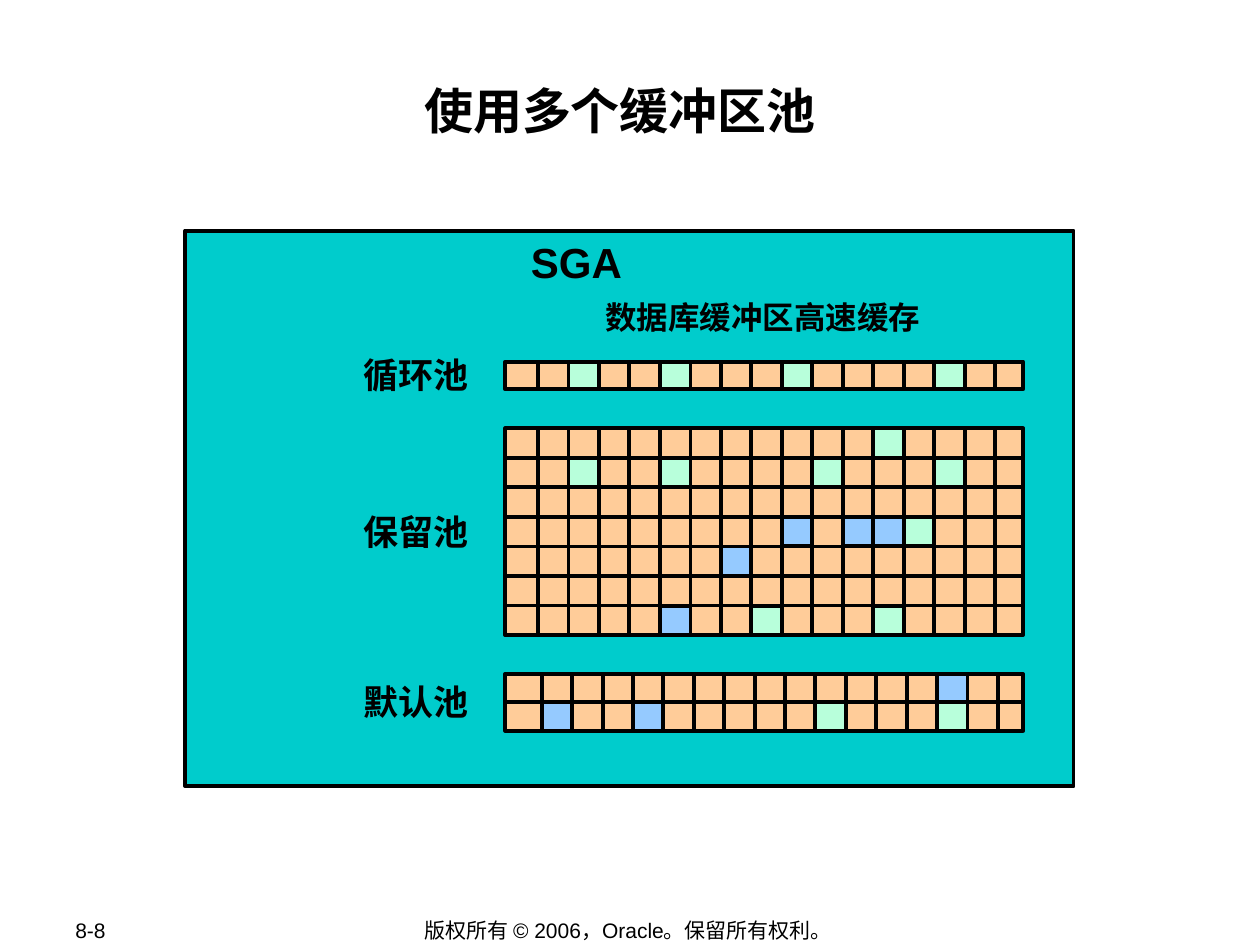
from lxml import etree
from pptx import Presentation
from pptx.dml.color import RGBColor
from pptx.enum.shapes import MSO_CONNECTOR, MSO_SHAPE
from pptx.enum.text import MSO_ANCHOR, PP_ALIGN
from pptx.oxml.ns import qn
from pptx.util import Inches, Pt

RECT, STRAIGHT = MSO_SHAPE.RECTANGLE, MSO_CONNECTOR.STRAIGHT
LEFT, CENTER = PP_ALIGN.LEFT, PP_ALIGN.CENTER
TOP, MIDDLE = MSO_ANCHOR.TOP, MSO_ANCHOR.MIDDLE
LATIN, CJK = "Arial", "Noto Sans CJK SC"
BLACK, TEAL = "000000", "00CCCC"
PEACH, MINT, SKY = "FFCC99", "B8FFDB", "95CAFF"
BLOCKS = {"g": MINT, "b": SKY}

TITLE = "使用多个缓冲区池"
SGA_BOX = (1.47, 1.83, 7.05, 4.41)
# text, box, size, font, bold, anchor
CAPTIONS = [
    ("SGA", (3.72, 1.83, 1.71, 0.5), 24, LATIN, True, TOP),
    ("数据库缓冲区高速缓存", (4.04, 2.32, 4.03, 0.4), 18, CJK, True, TOP),
    ("版权所有 © 2006，Oracle。保留所有权利。", (2.74, 7.28, 4.49, 0.21), 12, LATIN, False, MIDDLE),
]
PAGE = ("8-8", (0.5, 7.28, 1.06, 0.2), 12, LATIN, False, MIDDLE)

# Each row string holds one letter per block: g = mint, b = sky, . = plain.
# The omitted divider is drawn by the coloured blocks beside it.
POOLS = [
    dict(name="循环池", label_top=2.76, top=2.87, height=0.22, first=4.27, last=7.9, omit=(),
         rows=["..g..g...g....g.."]),
    dict(name="保留池", label_top=4.0, top=3.4, height=1.64, first=4.27, last=7.9, omit=(),
         rows=["............g....",
               "..g..g....g...g..",
               ".................",
               ".........b.bbg...",
               ".......b.........",
               ".................",
               ".....b..g...g...."]),
    dict(name="默认池", label_top=5.35, top=5.35, height=0.45, first=4.3, last=7.92, omit=(15,),
         rows=["..............b..",
               ".b..b.....g...g.."]),
]
POOL_LEFT, POOL_WIDTH = 4.01, 4.11
LABEL_LEFT, LABEL_SIZE = 2.79, (1.04, 0.43)


def rgb(color):
    return RGBColor.from_string(color)


def add_rect(box, fill):
    s = shapes.add_shape(RECT, *map(Inches, box))
    s.shadow.inherit = False
    s.fill.solid()
    s.fill.fore_color.rgb = rgb(fill)
    s.line.color.rgb = rgb(BLACK)
    s.line.width = Pt(2.25)
    return s


def add_line(x1, y1, x2, y2):
    c = shapes.add_connector(STRAIGHT, *map(Inches, (x1, y1, x2, y2)))
    c.line.color.rgb = rgb(BLACK)
    c.line.width = Pt(2.25)
    etree.SubElement(c._element.spPr, qn("a:effectLst"))
    return c


def write(tf, text, size, font, bold, align):
    p = tf.paragraphs[0]
    p.alignment = align
    r = p.add_run()
    r.text = text
    r.font.size, r.font.name, r.font.bold = Pt(size), font, bold
    r.font.color.rgb = rgb(BLACK)
    etree.SubElement(r._r.get_or_add_rPr(), qn("a:ea"), typeface=CJK)
    return p


def add_text(text, box, size, font, bold, anchor, align=CENTER, wrap=True):
    tf = shapes.add_textbox(*map(Inches, box)).text_frame
    tf.word_wrap = wrap
    tf.vertical_anchor = anchor
    write(tf, text, size, font, bold, align)


def add_pool(name, label_top, top, height, first, last, omit, rows):
    """Draw a labelled block grid whose first column is slightly wider."""
    n_rows, n_cols = len(rows), len(rows[0])
    right, bottom = POOL_LEFT + POOL_WIDTH, top + height
    step, row_h = (last - first) / (n_cols - 2), height / n_rows
    edges = [POOL_LEFT] + [first + i * step for i in range(n_cols - 1)] + [right]

    frame = add_rect((POOL_LEFT, top, POOL_WIDTH, height), PEACH)
    for col in range(1, n_cols):
        if col not in omit:
            add_line(edges[col], top, edges[col], bottom)
    for row in range(1, n_rows):
        y = top + row * row_h
        line = add_line(POOL_LEFT, y, right, y)
        if row * 2 == n_rows:
            line.begin_connect(frame, 1)
            line.end_connect(frame, 3)
    for row, blocks in enumerate(rows):
        for col, kind in enumerate(blocks):
            if kind in BLOCKS:
                width = edges[col + 1] - edges[col]
                add_rect((edges[col], top + row * row_h, width, row_h), BLOCKS[kind])
    add_text(name, (LABEL_LEFT, label_top, *LABEL_SIZE), 20, CJK, True, TOP, LEFT, False)


prs = Presentation()
prs.slide_width, prs.slide_height = Inches(10), Inches(7.5)
shapes = prs.slides.add_slide(prs.slide_layouts[5]).shapes

title = shapes.title
title.left, title.top, title.width, title.height = map(Inches, (0.92, 0.58, 8, 0.96))
tf = title.text_frame
tf.margin_left = tf.margin_right = tf.margin_top = tf.margin_bottom = Inches(0.01)
tf.vertical_anchor = TOP
write(tf, TITLE, 28, LATIN, True, CENTER).line_spacing = 1.1

add_rect(SGA_BOX, TEAL)
for caption in CAPTIONS:
    add_text(*caption)
add_text(*PAGE, align=LEFT)
for pool in POOLS:
    add_pool(**pool)

prs.save("out.pptx")
